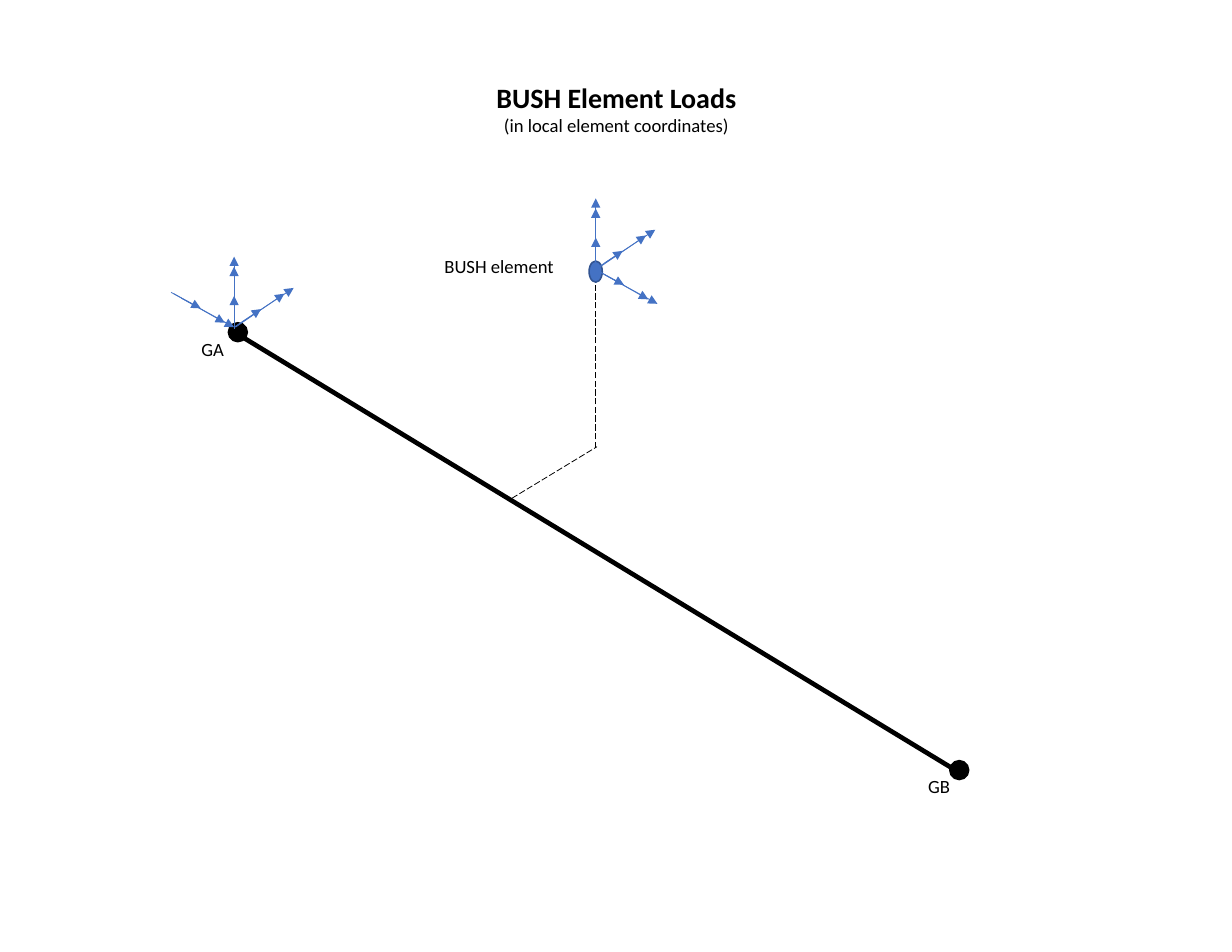
import pptx
import pptx.util
import pptx.dml.color
import pptx.enum.dml
import pptx.enum.shapes
import pptx.enum.text
import pptx.oxml.ns
from lxml import etree

Cm, Pt = pptx.util.Cm, pptx.util.Pt

# Content, lengths in cm
TITLE = [("BUSH Element Loads", "head", True),
         ("(in local element coordinates)", "text", False)]
TITLE_BOX = (10.97, 1.7, 6.02, 1.55)
LABELS = [("BUSH element", (9.83, 5.66, 3.02, 0.76)),
          ("GB", (20.8, 17.45, 1.02, 0.76)),
          ("GA", (4.32, 7.54, 1.04, 0.76))]
BEAM = (5.41, 7.59, 21.69, 17.48)
DASHES = [(13.51, 10.16, 13.51, 6.1), (11.61, 11.3, 13.54, 10.13)]
BUSH = (13.36, 5.92, 0.3, 0.48)
BALL_A = (5.18, 7.32, 0.43, 0.43)
BALL_B = (21.54, 17.25, 0.43, 0.43)

# Three arrows per axis, measured from the axis origin
UP = [(0, -0.23, 0, -1.6), (0, 0, 0, -1.37), (0, 0.03, 0, -0.71)]
BACK = [(0.2, -0.13, 1.35, -0.89), (0.03, 0, 1.14, -0.76),
        (0, 0, 0.61, -0.41)]
ALONG = [(0.2, 0.13, 1.4, 0.79), (0.03, 0.03, 1.19, 0.69),
         (-0.03, 0, 0.64, 0.36)]
BUSH_AT = (13.51, 6.1)
GA_AT = (5.31, 7.42)
GA_IN = (GA_AT[0] - 1.4, GA_AT[1] - 0.79)  # load arrives at GA

THEME = {"font": "Calibri", "head": 18, "text": 12,
         "ink": "000000", "blue": "4472C4", "edge": "325491",
         "thin": 0.5, "rim": 1, "beam": 3}


def color(name):
    return pptx.dml.color.RGBColor.from_string(THEME[name])


def write(para, text, size, bold=False):
    para.text = text
    font = para.font
    font.name, font.size, font.bold = THEME["font"], Pt(THEME[size]), bold
    font.color.rgb = color("ink")


def draw(shapes, ends, ink, width, dash=False, arrow=False):
    line = shapes.add_connector(pptx.enum.shapes.MSO_CONNECTOR.STRAIGHT,
                                *map(Cm, ends))
    line.line.color.rgb = color(ink)
    line.line.width = Pt(THEME[width])
    if dash:
        line.line.dash_style = pptx.enum.dml.MSO_LINE.LONG_DASH
    qn = pptx.oxml.ns.qn
    if arrow:
        etree.SubElement(line.line._get_or_add_ln(), qn("a:tailEnd"),
                         type="triangle")
    etree.SubElement(line._element.spPr, qn("a:effectLst"))


def dot(shapes, box, fill, edge):
    oval = shapes.add_shape(pptx.enum.shapes.MSO_SHAPE.OVAL, *map(Cm, box))
    oval.shadow.inherit = False
    oval.fill.solid()
    oval.fill.fore_color.rgb = color(fill)
    oval.line.color.rgb = color(edge)
    oval.line.width = Pt(THEME["rim"])


def axis(shapes, start, arrows):
    x, y = start
    for x1, y1, x2, y2 in arrows:
        draw(shapes, (x + x1, y + y1, x + x2, y + y2), "blue", "thin",
             arrow=True)


def main():
    deck = pptx.Presentation()
    deck.slide_width, deck.slide_height = Cm(27.94), Cm(21.59)
    slide = deck.slides.add_slide(deck.slide_layouts[5])
    shapes = slide.shapes

    # Title and subtitle
    title = shapes.title
    title.left, title.top, title.width, title.height = map(Cm, TITLE_BOX)
    frame = title.text_frame
    frame.word_wrap = False
    frame.auto_size = pptx.enum.text.MSO_AUTO_SIZE.NONE
    frame.vertical_anchor = pptx.enum.text.MSO_ANCHOR.TOP
    for i, (text, size, bold) in enumerate(TITLE):
        para = frame.add_paragraph() if i else frame.paragraphs[0]
        write(para, text, size, bold)
        para.alignment = pptx.enum.text.PP_ALIGN.CENTER
        para.line_spacing = 1.0
        para.space_before = Pt(0)

    # Beam and offset to the element
    draw(shapes, BEAM, "ink", "beam")
    for ends in DASHES:
        draw(shapes, ends, "ink", "thin", dash=True)

    # Element with its loads
    dot(shapes, BUSH, "blue", "edge")
    group = shapes.add_group_shape().shapes
    for arrows in (UP, BACK, ALONG):
        axis(group, BUSH_AT, arrows)

    # Labels
    for text, box in LABELS:
        frame = shapes.add_textbox(*map(Cm, box)).text_frame
        frame.word_wrap = False
        frame.auto_size = pptx.enum.text.MSO_AUTO_SIZE.SHAPE_TO_FIT_TEXT
        write(frame.paragraphs[0], text, "text")

    # End points, with loads at GA
    group = shapes.add_group_shape().shapes
    dot(group, BALL_A, "ink", "ink")
    for start, arrows in ((GA_AT, UP), (GA_AT, BACK), (GA_IN, ALONG)):
        axis(group, start, arrows)
    dot(shapes, BALL_B, "ink", "ink")

    deck.save("out.pptx")


if __name__ == "__main__":
    main()
